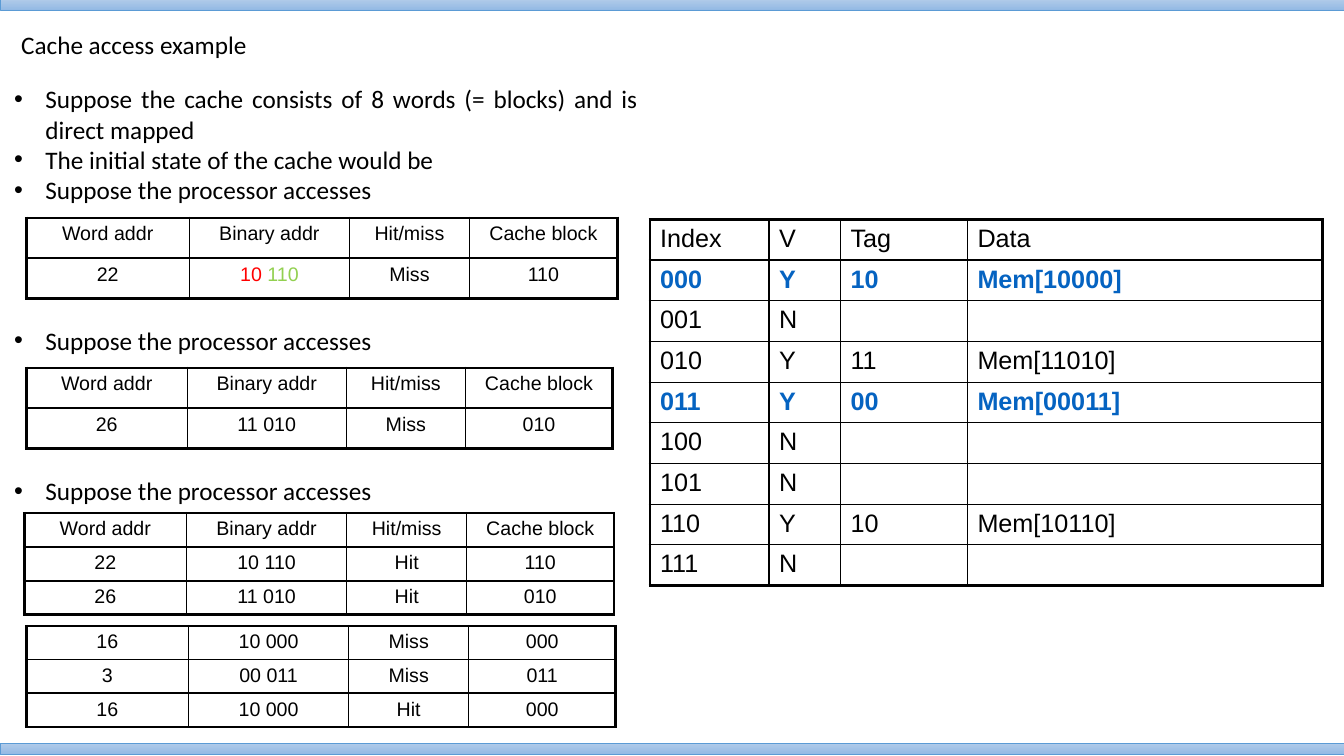
from dataclasses import dataclass

from lxml import etree
from pptx import Presentation
from pptx import util as u
from pptx.dml.color import RGBColor
from pptx.enum import shapes, text
from pptx.oxml.ns import qn

BLACK = "000000"
BLUE = "0563C1"
OUTER, RULE, THIN = 2.25, 1.5, 1.0
SLIDE_WIDTH, SLIDE_HEIGHT = u.Cm(33.87), u.Cm(19.05)


@dataclass(frozen=True)
class Piece:
    words: str
    color: str = BLACK
    bold: bool = False


@dataclass(frozen=True)
class Grid:
    left: float
    top: float
    columns: tuple[float, ...]
    row_height: float
    rows: list[list[list[Piece]]]
    size: int = 14
    align: text.PP_ALIGN = text.PP_ALIGN.CENTER
    top_rule: float = OUTER
    inner_rule: float = RULE


@dataclass(frozen=True)
class Bullet:
    words: str
    space_before: float = 0


def rgb(color: str) -> RGBColor:
    return RGBColor.from_string(color)


def row(*entries: str, color: str = BLACK, bold: bool = False) -> list[list[Piece]]:
    return [[Piece(entry, color, bold)] if entry else [] for entry in entries]


def add_piece(paragraph, piece: Piece, size: int, font: str) -> None:
    run = paragraph.add_run()
    run.text = piece.words
    run.font.size = u.Pt(size)
    run.font.name = font
    run.font.bold = piece.bold
    run.font.color.rgb = rgb(piece.color)


def add_border(cell, side: str, width: float) -> None:
    line = etree.SubElement(cell._tc.get_or_add_tcPr(), qn(f"a:ln{side}"), w=str(u.Pt(width)))
    fill = etree.SubElement(line, qn("a:solidFill"))
    etree.SubElement(fill, qn("a:srgbClr"), val=BLACK)


def add_grid(slide, grid: Grid) -> None:
    row_count, column_count = len(grid.rows), len(grid.columns)
    table = slide.shapes.add_table(
        row_count, column_count, u.Cm(grid.left), u.Cm(grid.top),
        u.Cm(sum(grid.columns)), u.Cm(grid.row_height * row_count)).table
    table.first_row = table.horz_banding = False
    for column, width in zip(table.columns, grid.columns):
        column.width = u.Cm(width)
    rules = [grid.top_rule, RULE] + [grid.inner_rule] * (row_count - 2) + [OUTER]
    edges = [OUTER] + [THIN] * (column_count - 1) + [OUTER]
    for r, entries in enumerate(grid.rows):
        table.rows[r].height = u.Cm(grid.row_height)
        for c, pieces in enumerate(entries):
            cell = table.cell(r, c)
            for side, width in zip("LRTB", (edges[c], edges[c + 1], rules[r], rules[r + 1])):
                add_border(cell, side, width)
            cell.fill.background()
            paragraph = cell.text_frame.paragraphs[0]
            paragraph.alignment = grid.align
            for piece in pieces:
                add_piece(paragraph, piece, grid.size, "Arial")
            if not pieces:
                etree.SubElement(paragraph._p, qn("a:endParaRPr"), sz=str(grid.size * 100))


def add_bar(slide, top: float) -> None:
    bar = slide.shapes.add_shape(
        shapes.MSO_SHAPE.RECTANGLE, 0, u.Cm(top), SLIDE_WIDTH, u.Cm(0.28))
    bar.shadow.inherit = False
    bar.fill.gradient()
    bar.fill.gradient_angle = 270
    for stop, color in zip(bar.fill.gradient_stops, ("B1CBE9", "93B9E4")):
        stop.color.rgb = rgb(color)
    bar.line.color.rgb = rgb("5B9BD5")
    bar.line.width = u.Pt(0.5)


def place(holder, left: float, top: float, width: float, height: float):
    holder.left, holder.top = u.Cm(left), u.Cm(top)
    holder.width, holder.height = u.Cm(width), u.Cm(height)
    frame = holder.text_frame
    frame.word_wrap = True
    frame.auto_size = text.MSO_AUTO_SIZE.NONE
    frame.vertical_anchor = text.MSO_ANCHOR.TOP
    return frame


def add_heading(slide, words: str) -> None:
    heading = place(slide.shapes.title, 0.28, 0.61, 31.19, 1.07).paragraphs[0]
    heading.alignment = text.PP_ALIGN.LEFT
    add_piece(heading, Piece(words), 18, "Calibri")


def add_bullets(slide, bullets: list[Bullet]) -> None:
    body = place(slide.placeholders[1], 0.1, 1.98, 16.23, 10.97)
    for i, bullet in enumerate(bullets):
        paragraph = body.add_paragraph() if i else body.paragraphs[0]
        paragraph.alignment = text.PP_ALIGN.JUSTIFY
        paragraph.line_spacing = 1.0
        paragraph.space_before = u.Pt(bullet.space_before)
        properties = paragraph._p.get_or_add_pPr()
        properties.set("marL", str(u.Cm(0.79)))
        properties.set("indent", str(-u.Cm(0.79)))
        add_piece(paragraph, Piece(bullet.words), 18, "Calibri")


ACCESS = "Suppose the processor accesses"
BULLETS = [
    Bullet("Suppose the cache consists of 8 words (= blocks) and is direct mapped"),
    Bullet("The initial state of the cache would be"),
    Bullet(ACCESS),
    Bullet(ACCESS, 86),
    Bullet(ACCESS, 86),
]
ACCESS_HEAD = row("Word addr", "Binary addr", "Hit/miss", "Cache block")
SPLIT_ADDRESS = [Piece("10 ", "FF0000"), Piece("110", "92D050")]
LONG_COLUMNS = (4.09, 4.04, 3.02, 3.71)
GRIDS = [
    Grid(0.66, 5.49, (4.11, 4.04, 3.02, 3.73), 1.02,
         [ACCESS_HEAD, [[Piece("22")], SPLIT_ADDRESS, [Piece("Miss")], [Piece("110")]]]),
    Grid(0.66, 9.27, (4.06, 4.01, 3.0, 3.71), 1.02,
         [ACCESS_HEAD, row("26", "11 010", "Miss", "010")]),
    Grid(0.61, 12.93, LONG_COLUMNS, 0.85,
         [ACCESS_HEAD, row("22", "10 110", "Hit", "110"), row("26", "11 010", "Hit", "010")]),
    Grid(0.66, 15.77, LONG_COLUMNS, 0.85,
         [row("16", "10 000", "Miss", "000"), row("3", "00 011", "Miss", "011"),
          row("16", "10 000", "Hit", "000")], top_rule=RULE),
    Grid(16.38, 5.54, (3.0, 1.8, 3.2, 8.94), 1.02, [
        row("Index", "V", "Tag", "Data"),
        row("000", "Y", "10", "Mem[10000]", color=BLUE, bold=True),
        row("001", "N", "", ""),
        row("010", "Y", "11", "Mem[11010]"),
        row("011", "Y", "00", "Mem[00011]", color=BLUE, bold=True),
        row("100", "N", "", ""),
        row("101", "N", "", ""),
        row("110", "Y", "10", "Mem[10110]"),
        row("111", "N", "", ""),
    ], size=18, align=text.PP_ALIGN.LEFT, inner_rule=THIN),
]


def main() -> None:
    deck = Presentation()
    deck.slide_width, deck.slide_height = SLIDE_WIDTH, SLIDE_HEIGHT
    slide = deck.slides.add_slide(deck.slide_layouts[1])
    for top in (-0.02, 18.73):
        add_bar(slide, top)
    add_heading(slide, "Cache access example")
    add_bullets(slide, BULLETS)
    for grid in GRIDS:
        add_grid(slide, grid)
    deck.save("out.pptx")


if __name__ == "__main__":
    main()
